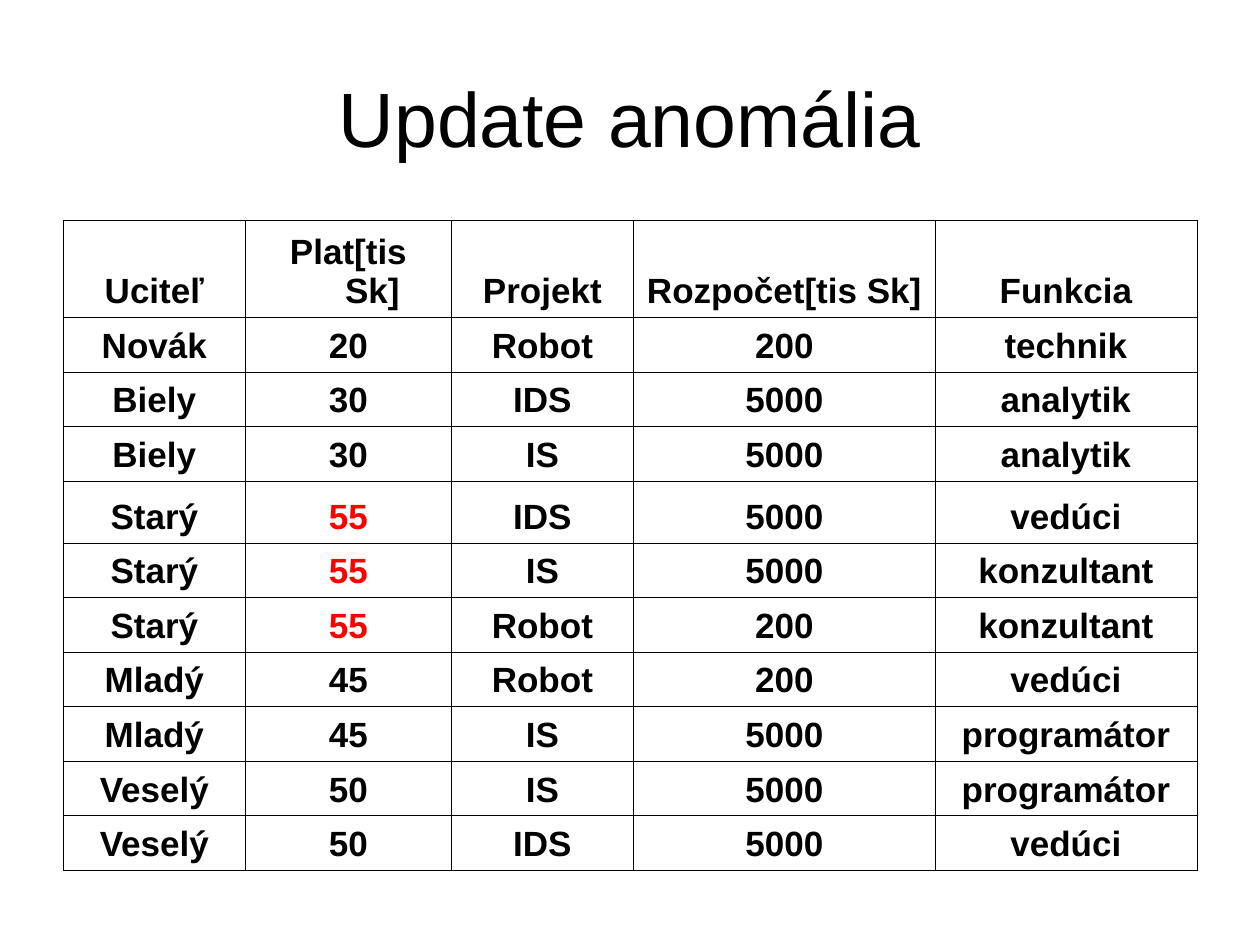
from dataclasses import dataclass
from typing import NamedTuple

from lxml import etree
from pptx import Presentation, util as u
from pptx.dml.color import RGBColor as Rgb
from pptx.enum import text
from pptx.oxml import ns

SCALE = 914400 // 300  # EMU per px, 300 px to the inch


def px(n: int) -> int:
    return n * SCALE


@dataclass(frozen=True)
class Theme:
    font: str = "Arial"
    ink: Rgb = Rgb(0, 0, 0)
    alert: Rgb = Rgb(255, 0, 0)
    title: int = 44
    body: int = 20
    rule: float = 0.45
    indent: int = 114


class Box(NamedTuple):
    left: int
    top: int
    width: int
    height: int

    def emu(self) -> list[int]:
        return [px(n) for n in self]


class Job(NamedTuple):
    name: str
    pay: str
    project: str
    budget: str
    role: str


THEME = Theme()
TITLE = Box(150, 90, 2700, 375)
WIDTHS = (435, 489, 435, 717, 624)
HEAD, ROW, TALL = 231, 130, 147
CHANGED = "55"

JOBS = [
    Job("Uciteľ", "Plat[tis Sk]", "Projekt", "Rozpočet[tis Sk]", "Funkcia"),
    Job("Novák", "20", "Robot", "200", "technik"),
    Job("Biely", "30", "IDS", "5000", "analytik"),
    Job("Biely", "30", "IS", "5000", "analytik"),
    Job("Starý", CHANGED, "IDS", "5000", "vedúci"),
    Job("Starý", CHANGED, "IS", "5000", "konzultant"),
    Job("Starý", CHANGED, "Robot", "200", "konzultant"),
    Job("Mladý", "45", "Robot", "200", "vedúci"),
    Job("Mladý", "45", "IS", "5000", "programátor"),
    Job("Veselý", "50", "IS", "5000", "programátor"),
    Job("Veselý", "50", "IDS", "5000", "vedúci"),
]
HEIGHTS = [HEAD] + [ROW] * 3 + [TALL] + [ROW] * 6


def style(para, size: int, color: Rgb, bold: bool) -> None:
    para.alignment = text.PP_ALIGN.CENTER
    font = para.font
    font.name, font.size, font.bold = THEME.font, u.Pt(size), bold
    font.color.rgb = color


def edge(cell) -> None:
    """Rule all four sides of a cell; borders come before the fill."""
    props = cell._tc.get_or_add_tcPr()
    for i, side in enumerate(("lnL", "lnR", "lnT", "lnB")):
        line = etree.Element(ns.qn(f"a:{side}"), w=str(u.Pt(THEME.rule)))
        fill = etree.SubElement(line, ns.qn("a:solidFill"))
        etree.SubElement(fill, ns.qn("a:srgbClr"), val=str(THEME.ink))
        props.insert(i, line)


def write(cell, words: str) -> None:
    cell.text = words
    cell.vertical_anchor = text.MSO_ANCHOR.BOTTOM
    cell.margin_left = cell.margin_right = px(30)
    cell.margin_top = cell.margin_bottom = px(15)
    cell.fill.background()
    edge(cell)
    para = cell.text_frame.paragraphs[0]
    props = para._p.get_or_add_pPr()
    props.set("marL", str(px(THEME.indent)))
    props.set("indent", str(-px(THEME.indent)))
    color = THEME.alert if words == CHANGED else THEME.ink
    style(para, THEME.body, color, True)


def draw_title(slide, words: str) -> None:
    title = slide.shapes.title
    title.left, title.top, title.width, title.height = TITLE.emu()
    title.text_frame.text = words
    title.text_frame.vertical_anchor = text.MSO_ANCHOR.MIDDLE
    style(title.text_frame.paragraphs[0], THEME.title, THEME.ink, False)


def draw_table(slide, jobs: list[Job]) -> None:
    box = Box(150, 525, sum(WIDTHS), sum(HEIGHTS))
    table = slide.shapes.add_table(len(jobs), len(WIDTHS), *box.emu()).table
    table.first_row = table.horz_banding = False
    for col, width in zip(table.columns, WIDTHS):
        col.width = px(width)
    for row, height, job in zip(table.rows, HEIGHTS, jobs):
        row.height = px(height)
        for cell, words in zip(row.cells, job):
            write(cell, words)


def main() -> None:
    deck = Presentation()
    deck.slide_width, deck.slide_height = px(3000), px(2250)
    slide = deck.slides.add_slide(deck.slide_layouts[5])
    # Heading
    draw_title(slide, "Update anomália")
    # Teachers and their projects
    draw_table(slide, JOBS)
    deck.save("out.pptx")


if __name__ == "__main__":
    main()
